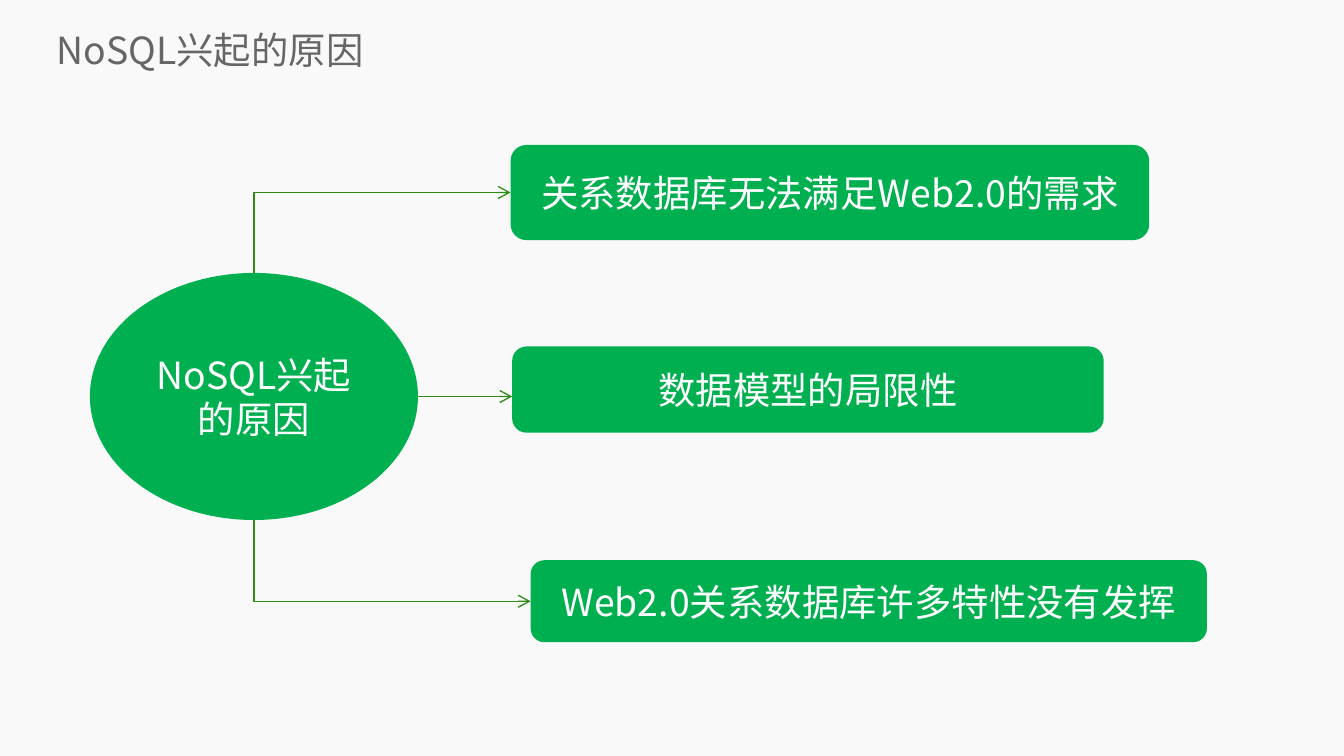
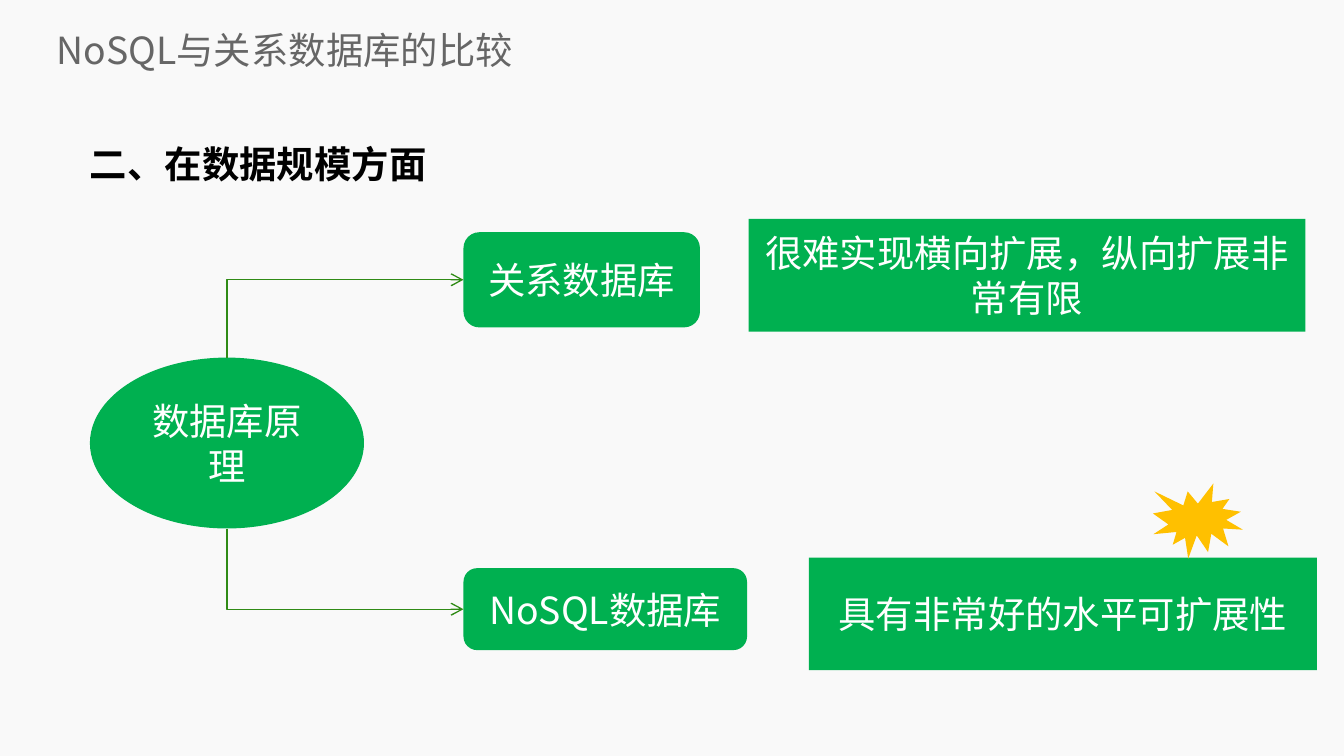
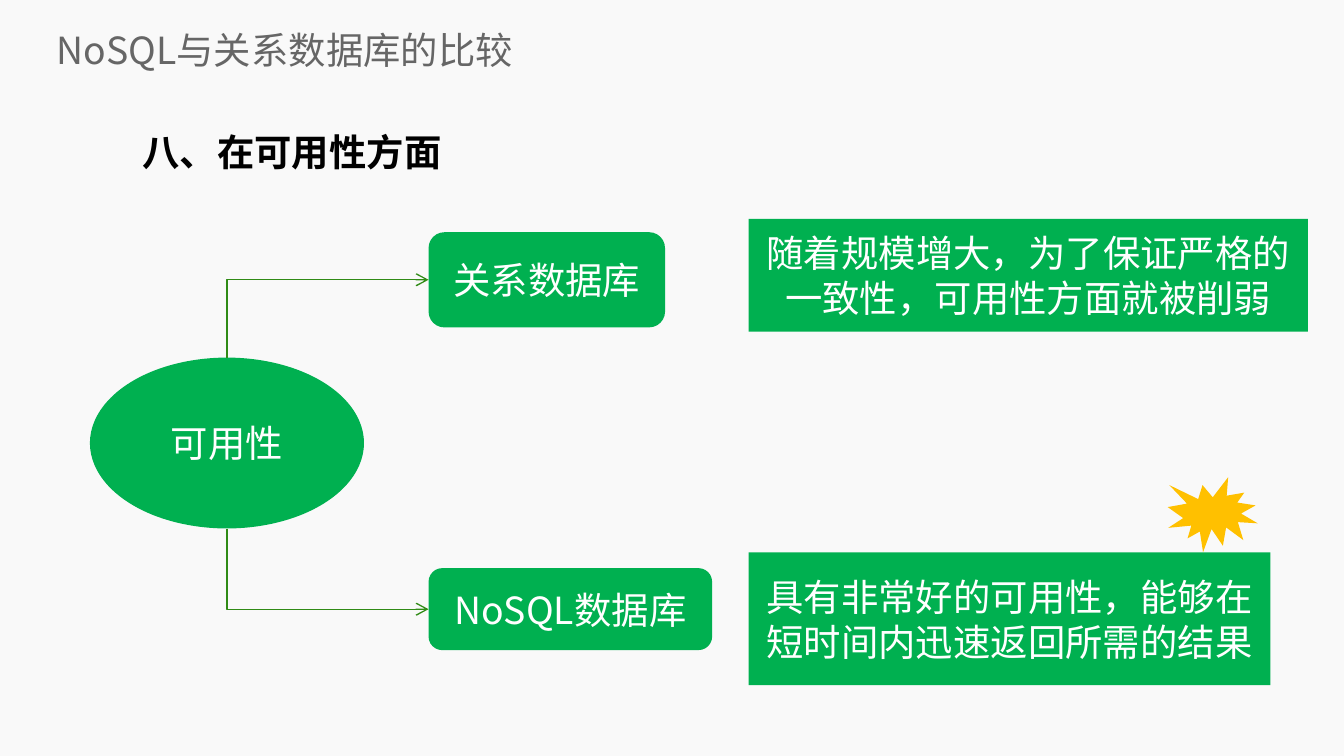
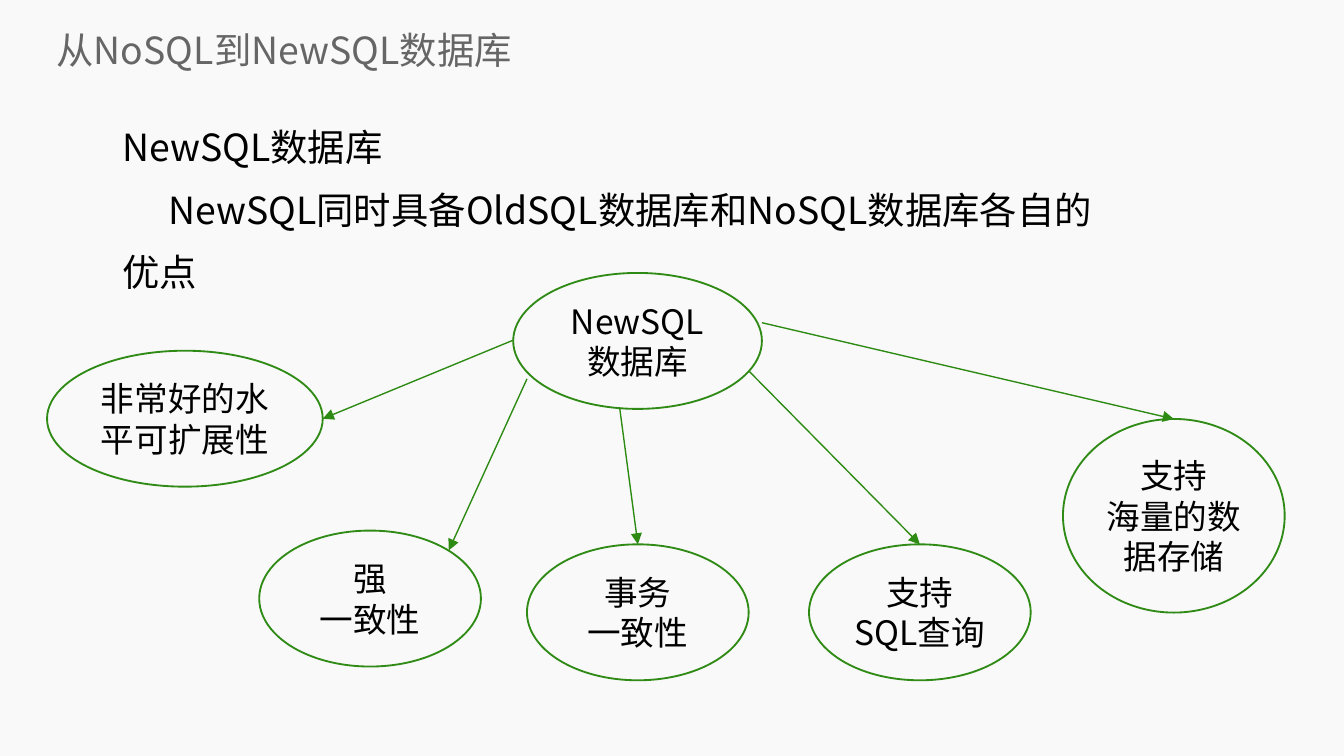
"""Build four slides on NoSQL and NewSQL databases."""
from lxml import etree
from pptx import Presentation
from pptx import util as u
from pptx.dml.color import RGBColor
from pptx.enum import shapes, text
from pptx.oxml.ns import qn

FONT = "Noto Sans CJK SC"
COLORS = {"back": "F9F9F9", "title": "666666", "body": "000000", "green": "00B050",
          "white": "FFFFFF", "seal": "FFC000", "line": "308B16", "ray": "2D8B13"}
KIND = shapes.MSO_SHAPE
TITLE_BOX = (1.07, 0.46, 23.95, 0.97)

REASONS = {
    "title": "NoSQL兴起的原因",
    "hub": ("NoSQL兴起的原因", (1.7, 5.16, 6.2, 4.67)),
    "branches": [
        ("关系数据库无法满足Web2.0的需求", (9.65, 2.74, 12.07, 1.8), "up"),
        ("数据模型的局限性", (9.68, 6.55, 11.18, 1.63), "across"),
        ("Web2.0关系数据库许多特性没有发挥", (10.03, 10.59, 12.78, 1.55), "down"),
    ],
}
SCALE = {
    "title": "NoSQL与关系数据库的比较",
    "heading": ("二、在数据规模方面", (1.7, 2.34, 19.02, 1.8)),
    "hub": ("数据库原理", (1.7, 6.76, 5.18, 3.23)),
    "branches": [
        ("关系数据库", (8.76, 4.39, 4.47, 1.8), "up"),
        ("NoSQL数据库", (8.76, 10.74, 5.36, 1.55), "down"),
    ],
    "verdicts": [
        ("很难实现横向扩展，纵向扩展非常有限", (14.15, 4.14, 10.52, 2.13)),
        ("具有非常好的水平可扩展性", (15.29, 10.54, 9.6, 2.13)),
    ],
    "seal": (21.79, 9.14, 1.7, 1.42),
}
AVAILABILITY = {
    "title": "NoSQL与关系数据库的比较",
    "heading": ("八、在可用性方面", (2.69, 2.11, 19.02, 1.65)),
    "hub": ("可用性", (1.7, 6.76, 5.18, 3.23)),
    "branches": [
        ("关系数据库", (8.1, 4.39, 4.47, 1.8), "up"),
        ("NoSQL数据库", (8.1, 10.74, 5.36, 1.55), "down"),
    ],
    "verdicts": [
        ("随着规模增大，为了保证严格的一致性，可用性方面就被削弱", (14.15, 4.14, 10.57, 2.13)),
        ("具有非常好的可用性，能够在短时间内迅速返回所需的结果", (14.15, 10.44, 9.86, 2.51)),
    ],
    "seal": (22.07, 9.02, 1.7, 1.42),
}
NEWSQL = {
    "title": "从NoSQL到NewSQL数据库",
    "intro": ["NewSQL数据库", "NewSQL同时具备OldSQL数据库和NoSQL数据库各自的优点"],
    "intro_box": (2.11, 2.01, 19.02, 9.58),
    "hub": (["NewSQL", "数据库"], (9.7, 5.16, 4.7, 2.57)),
    "features": [
        (["非常好的水平可扩展性"], (0.89, 6.63, 5.21, 2.57), (9.7, 6.43), (1, 0)),
        (["强", "一致性"], (4.9, 10.03, 4.19, 2.57), (9.96, 7.16), (0.71, -0.71)),
        (["事务", "一致性"], (9.96, 10.29, 4.19, 2.57), (11.71, 7.7), (0, -1)),
        (["支持", "SQL查询"], (15.29, 10.29, 4.19, 2.57), (14.15, 7.01), (0, -1)),
        (["支持", "海量的数据存储"], (20.09, 7.92, 4.19, 3.66), (14.4, 6.1), (0, -1)),
    ],
}


def rgb(name):
    return RGBColor.from_string(COLORS[name])


def cm(values):
    return [u.Cm(v) for v in values]


def write(sp, lines, color, size=20, bold=None, align=None, spacing=None,
          anchor=text.MSO_ANCHOR.MIDDLE, inset=None):
    tf = sp.text_frame
    tf.word_wrap = True
    tf.vertical_anchor = anchor
    if inset is not None:
        tf.margin_left = tf.margin_right = tf.margin_top = tf.margin_bottom = u.Cm(inset)
    for i, line in enumerate(lines):
        p = tf.add_paragraph() if i else tf.paragraphs[0]
        p.alignment = align
        p.line_spacing = spacing
        r = p.add_run()
        r.text = line
        r.font.name, r.font.size, r.font.bold = FONT, u.Pt(size), bold
        r.font.color.rgb = rgb(color)
        etree.SubElement(r._r.get_or_add_rPr(), qn("a:ea")).set("typeface", FONT)
    return tf


def add_text(slide, box, lines, color, **style):
    return write(slide.shapes.add_textbox(*cm(box)), lines, color, inset=0, **style)


def add_solid(slide, kind, box, fill="green", label=None):
    sp = slide.shapes.add_shape(kind, *cm(box))
    sp.shadow.inherit = False
    sp.fill.solid()
    sp.fill.fore_color.rgb = rgb(fill)
    sp.line.fill.background()
    if label:
        write(sp, [label], "white", align=text.PP_ALIGN.CENTER)


def add_ring(slide, lines, box):
    sp = slide.shapes.add_shape(KIND.OVAL, *cm(box))
    sp.shadow.inherit = False
    sp.fill.background()
    sp.line.color.rgb = rgb("line")
    sp.line.width = u.Pt(1)
    write(sp, lines, "body", size=18, align=text.PP_ALIGN.CENTER, inset=0.15)


def add_arrow(slide, kind, start, end, color="line", head="arrow"):
    c = slide.shapes.add_connector(kind, *cm(start + end))
    c.line.color.rgb = rgb(color)
    c.line.width = u.Pt(0.75)
    etree.SubElement(c.line._get_or_add_ln(), qn("a:tailEnd")).set("type", head)
    etree.SubElement(c._element.spPr, qn("a:effectLst"))
    return c


def add_corner(slide, start, end):
    """Draw an arrow that runs vertically, then turns right."""
    (x0, y0), (x1, y1) = start, end
    mx, my, dx, dy = (x0 + x1) / 2, (y0 + y1) / 2, (x1 - x0) / 2, abs(y1 - y0) / 2
    c = add_arrow(slide, shapes.MSO_CONNECTOR.ELBOW, (mx - dy, my - dx), (mx + dy, my + dx))
    spPr = c._element.spPr
    spPr.find(qn("a:prstGeom")).set("prst", "bentConnector2")
    xfrm = spPr.find(qn("a:xfrm"))
    xfrm.set("flipH", "1")
    if y1 < y0:
        xfrm.set("flipV", "1")
    xfrm.set("rot", str((90 if y1 < y0 else 270) * 60000))


def new_slide(prs, title):
    slide = prs.slides.add_slide(prs.slide_layouts[6])
    add_text(slide, TITLE_BOX, [title], "title")
    return slide


def build_branches(prs, data):
    slide = new_slide(prs, data["title"])
    if "heading" in data:
        heading, box = data["heading"]
        add_text(slide, box, [heading], "body", bold=True, spacing=1.4,
                 anchor=text.MSO_ANCHOR.TOP)
    hub, (x, y, w, h) = data["hub"]
    add_solid(slide, KIND.OVAL, (x, y, w, h), label=hub)
    starts = {"up": (x + w / 2, y), "across": (x + w, y + h / 2), "down": (x + w / 2, y + h)}
    for label, box, way in data["branches"]:
        add_solid(slide, KIND.ROUNDED_RECTANGLE, box, label=label)
        if way == "across":
            add_arrow(slide, shapes.MSO_CONNECTOR.STRAIGHT, starts[way], (box[0], y + h / 2))
        else:
            add_corner(slide, starts[way], (box[0], box[1] + box[3] / 2))
    for label, box in data.get("verdicts", []):
        add_solid(slide, KIND.RECTANGLE, box, label=label)
    if "seal" in data:
        add_solid(slide, KIND.EXPLOSION1, data["seal"], fill="seal")


def build_features(prs, data):
    slide = new_slide(prs, data["title"])
    tf = add_text(slide, data["intro_box"], data["intro"], "body", spacing=1.4,
                  anchor=text.MSO_ANCHOR.TOP)
    for p, indent in zip(tf.paragraphs, (0, 0.87)):
        pPr = p._p.get_or_add_pPr()
        pPr.set("marL", str(u.Cm(0.2)))
        pPr.set("indent", str(u.Cm(indent)))
    add_ring(slide, *data["hub"])
    for lines, box, start, (sx, sy) in data["features"]:
        add_ring(slide, lines, box)
        x, y, w, h = box
        end = (x + w / 2 * (1 + sx), y + h / 2 * (1 + sy))
        add_arrow(slide, shapes.MSO_CONNECTOR.STRAIGHT, start, end, "ray", "triangle")


def main():
    prs = Presentation()
    prs.slide_width, prs.slide_height = cm((25.4, 14.29))
    fill = prs.slide_master.background.fill
    fill.solid()
    fill.fore_color.rgb = rgb("back")
    for data in (REASONS, SCALE, AVAILABILITY):
        build_branches(prs, data)
    build_features(prs, NEWSQL)
    prs.save("out.pptx")


if __name__ == "__main__":
    main()
